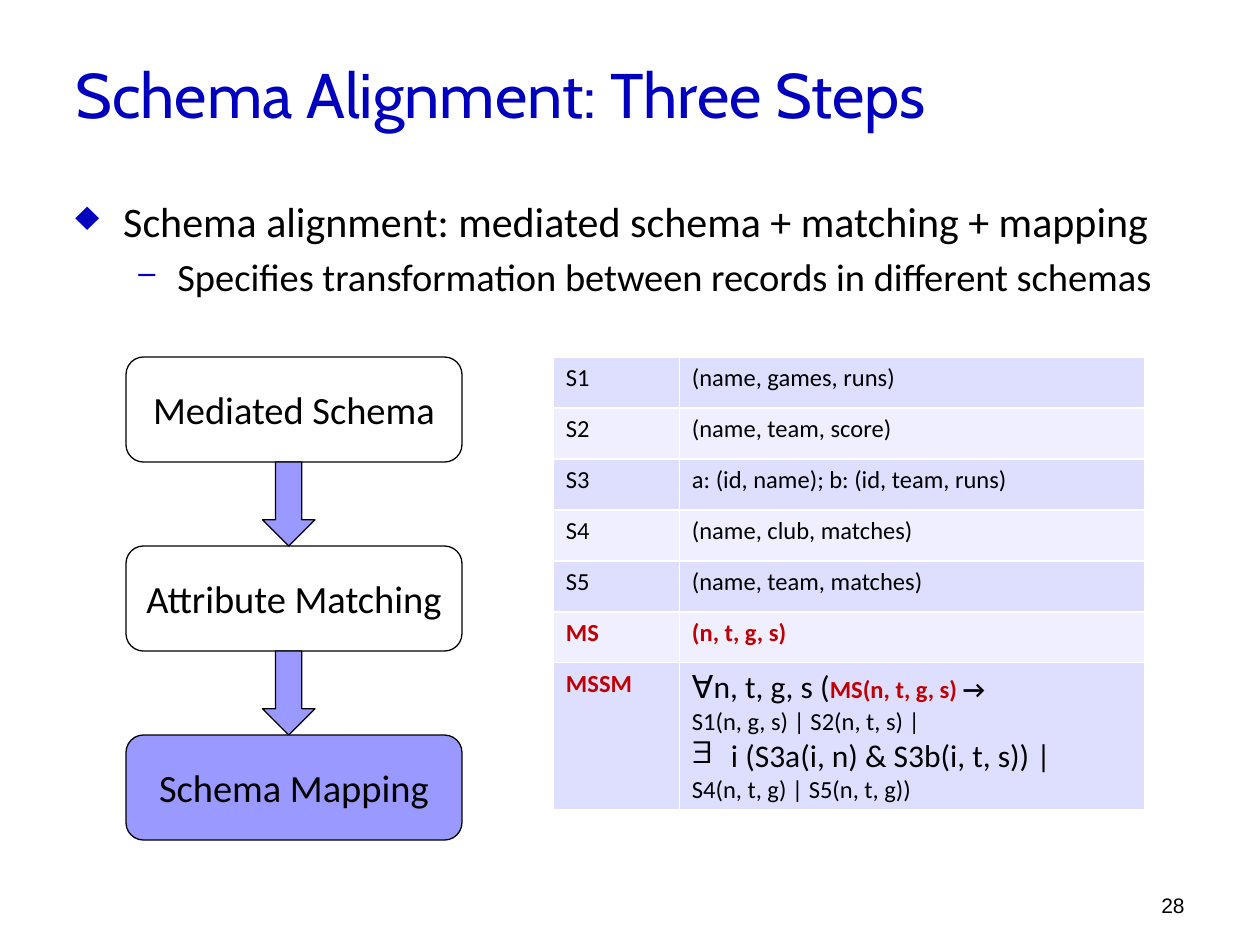
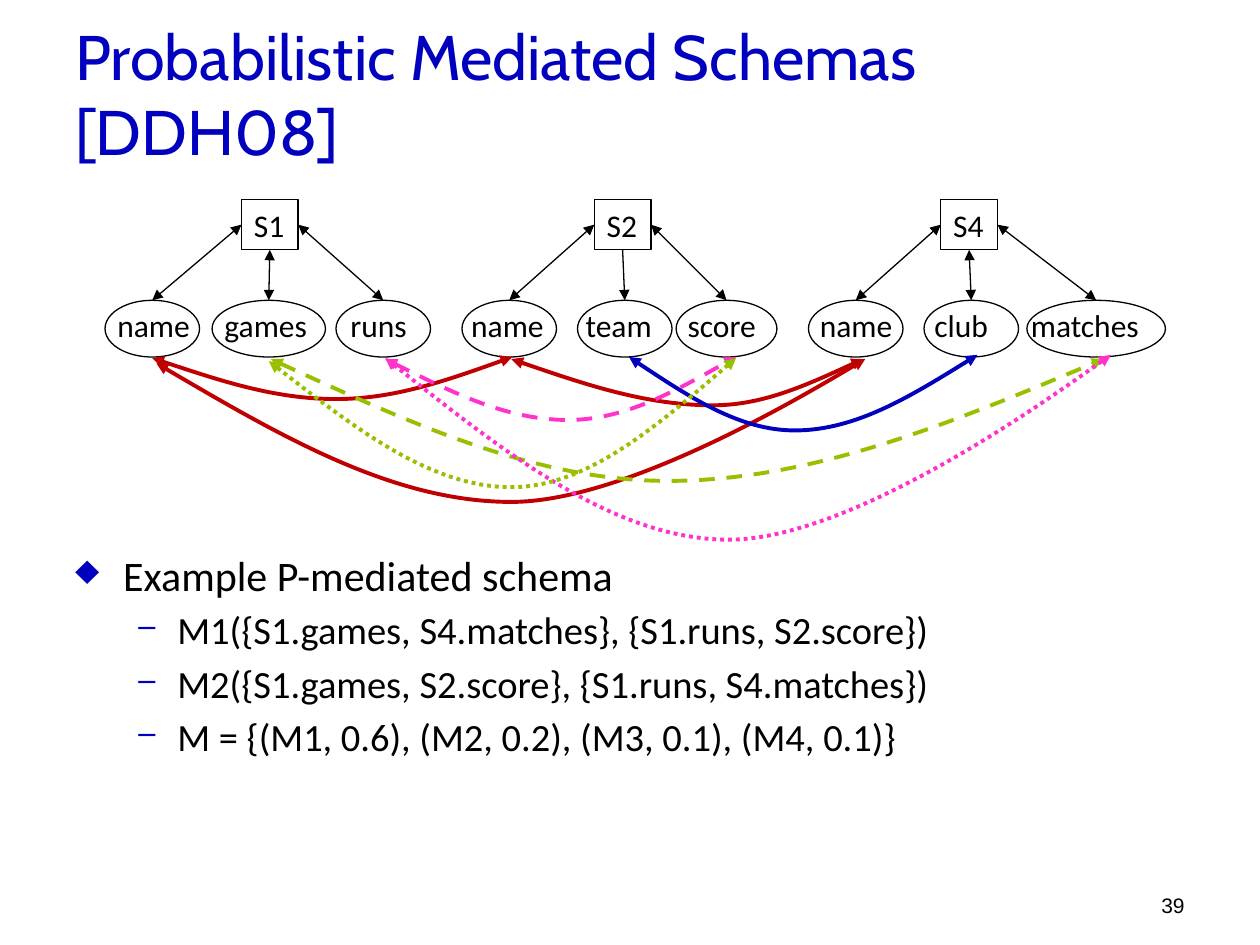
from dataclasses import dataclass

from lxml import etree
from pptx import Presentation
from pptx.dml.color import RGBColor
from pptx.enum.dml import MSO_LINE
from pptx.enum.shapes import MSO_CONNECTOR, MSO_SHAPE
from pptx.enum.text import MSO_ANCHOR, PP_ALIGN
from pptx.oxml.ns import qn
from pptx.util import Emu, Inches, Pt

DASH, DOT = MSO_LINE.DASH, MSO_LINE.ROUND_DOT
STRAIGHT = MSO_CONNECTOR.STRAIGHT
RECTANGLE, ROUNDED = MSO_SHAPE.RECTANGLE, MSO_SHAPE.ROUNDED_RECTANGLE
OVAL, DOWN_ARROW = MSO_SHAPE.OVAL, MSO_SHAPE.DOWN_ARROW
TOP, MIDDLE, BOTTOM = MSO_ANCHOR.TOP, MSO_ANCHOR.MIDDLE, MSO_ANCHOR.BOTTOM
LEFT, CENTER, RIGHT = PP_ALIGN.LEFT, PP_ALIGN.CENTER, PP_ALIGN.RIGHT

# Grid: 120 columns by 90 rows of square cells
WIDTH, HEIGHT = Inches(10), Inches(7.5)
CELL = WIDTH // 120


@dataclass(frozen=True)
class Theme:
    title_font: str = "Cabin"
    body_font: str = "Calibri"
    number_font: str = "Arial"
    blue: str = "0000BE"
    black: str = "000000"
    white: str = "FFFFFF"
    lilac: str = "9999FF"
    red: str = "C00000"
    green: str = "99C000"
    pink: str = "FF33CC"
    bands: tuple = ("DEDEFF", "EFEFFF")
    title: float = 36
    bullet: float = 24
    detail: float = 22
    label: float = 18
    cell: float = 14
    number: float = 12
    thin: float = 0.75
    thick: float = 2.25


THEME = Theme()


@dataclass(frozen=True)
class Area:
    left: float
    top: float
    width: float
    height: float

    def emu(self) -> list:
        return [grid(n) for n in (self.left, self.top, self.width, self.height)]


@dataclass(frozen=True)
class Span:
    text: str
    size: float
    colour: str = THEME.black
    bold: bool = False
    font: str = THEME.body_font


@dataclass(frozen=True)
class Bullet:
    char: str
    margin: float
    hang: float
    colour: str = THEME.black
    percent: int = 100


@dataclass(frozen=True)
class Line:
    spans: tuple
    bullet: Bullet | None = None


@dataclass(frozen=True)
class Link:
    """A sagging curve; a taut one runs straight into its end."""
    start: tuple
    low: tuple
    end: tuple
    colour: str
    dash: object = None
    taut: bool = False


@dataclass(frozen=True)
class Source:
    name: str
    left: float
    attributes: tuple  # (text, text left, oval left, oval width)


DIAMOND = Bullet("♦", 0.38, 0.38, THEME.blue)
EN_DASH = Bullet("–", 0.81, 0.31, THEME.blue, 80)
EXISTS = Bullet("∃", 0.31, 0.31)


def grid(cells: float) -> Emu:
    return Emu(round(cells * CELL))


def colour_of(code: str) -> RGBColor:
    return RGBColor.from_string(code)


def add_xml(parent, tag: str, **attributes):
    return etree.SubElement(parent, qn(tag), attributes)


# Text
def set_bullet(para, bullet: Bullet) -> None:
    props = para._p.get_or_add_pPr()
    props.set("marL", str(Inches(bullet.margin)))
    props.set("indent", str(-Inches(bullet.hang)))
    add_xml(add_xml(props, "a:buClr"), "a:srgbClr", val=bullet.colour)
    add_xml(props, "a:buSzPct", val=str(bullet.percent * 1000))
    add_xml(props, "a:buChar", char=bullet.char)


def write(frame, lines: list, align=LEFT, gap: float = 0) -> None:
    for index, line in enumerate(lines):
        para = frame.add_paragraph() if index else frame.paragraphs[0]
        if line.bullet:
            set_bullet(para, line.bullet)
        para.alignment = align
        para.space_before = Pt(gap if index else 0)
        for span in line.spans:
            run = para.add_run()
            run.text = span.text
            run.font.name, run.font.size = span.font, Pt(span.size)
            run.font.bold = span.bold
            run.font.color.rgb = colour_of(span.colour)


def add_text(page, area: Area, lines: list, anchor=TOP, align=LEFT, gap: float = 0):
    box = page.shapes.add_textbox(*area.emu())
    box.text_frame.word_wrap = True
    box.text_frame.vertical_anchor = anchor
    write(box.text_frame, lines, align, gap)
    return box


# Shapes and lines
def style_line(line, colour: str, width: float, dash=None, arrows: tuple = ()) -> None:
    line.color.rgb, line.width = colour_of(colour), Pt(width)
    if dash:
        line.dash_style = dash
    for end in arrows:
        add_xml(line._get_or_add_ln(), end, type="triangle")


def add_shape(page, kind, area: Area, fill: str | None = None):
    shape = page.shapes.add_shape(kind, *area.emu())
    shape.shadow.inherit = False
    if fill:
        shape.fill.solid()
        shape.fill.fore_color.rgb = colour_of(fill)
    else:
        shape.fill.background()
    style_line(shape.line, THEME.black, THEME.thin)
    return shape


def add_branch(page, source, side: int, oval, both_ways: bool) -> None:
    branch = page.shapes.add_connector(STRAIGHT, 0, 0, 0, 0)
    branch.begin_connect(source, side)
    branch.end_connect(oval, 0)
    arrows = ("a:headEnd", "a:tailEnd") if both_ways else ("a:tailEnd",)
    style_line(branch.line, THEME.black, THEME.thin, arrows=arrows)
    add_xml(branch._element.spPr, "a:effectLst")


def add_link(page, link: Link) -> None:
    (x0, y0), (x1, y1), (x2, y2) = link.start, link.low, link.end
    points = [
        (x0 + (x1 - x0) / 3, (y0 + y1) / 2), (x0 + (x1 - x0) * 2 / 3, y1), link.low,
        (x1 + (x2 - x1) / 3, y1),
        link.end if link.taut else (x1 + (x2 - x1) * 2 / 3, (y1 + y2) / 2), link.end,
    ]
    builder = page.shapes.build_freeform(grid(x0), grid(y0))
    builder.add_line_segments([(grid(x), grid(y)) for x, y in points], close=False)
    curve = builder.convert_to_shape()
    # Each three straight segments become one Bézier segment
    segments = list(curve._element.iter(qn("a:lnTo")))
    outline = segments[0].getparent()
    for first in (0, 3):
        bezier = add_xml(outline, "a:cubicBezTo")
        for segment in segments[first:first + 3]:
            bezier.append(segment[0])
            outline.remove(segment)
    curve.shadow.inherit = False
    curve.fill.background()
    style_line(curve.line, link.colour, THEME.thick, link.dash,
               ("a:headEnd", "a:tailEnd"))


# Tables
def add_schema_table(page, top: float, row_height: float, rows: list) -> None:
    widths = (12, 44.3)
    area = Area(52.7, top, sum(widths), row_height * len(rows))
    table = page.shapes.add_table(len(rows), len(widths), *area.emu()).table
    table.first_row = table.horz_banding = False
    for column, width in zip(table.columns, widths):
        column.width = grid(width)
    for r, row in enumerate(rows):
        for c, lines in enumerate(row):
            cell = table.cell(r, c)
            for side in ("a:lnL", "a:lnR", "a:lnT", "a:lnB"):
                edge = add_xml(cell._tc.get_or_add_tcPr(), side, w=str(Pt(1)))
                add_xml(add_xml(edge, "a:solidFill"), "a:srgbClr", val=THEME.white)
            cell.fill.solid()
            cell.fill.fore_color.rgb = colour_of(THEME.bands[r % 2])
            write(cell.text_frame, lines)


def cell_line(text: str, colour: str = THEME.black, bold: bool = False) -> Line:
    return Line((Span(text, THEME.cell, colour, bold),))


# Parts shared by the slides
def add_page(deck, title: str, number: int, title_width: float):
    page = deck.slides.add_slide(deck.slide_layouts[6])
    heading = Span(title, THEME.title, THEME.blue, font=THEME.title_font)
    add_text(page, Area(6, 3.7, title_width, 10.3), [Line((heading,))], MIDDLE)
    folio = Span(str(number), THEME.number, font=THEME.number_font)
    add_text(page, Area(86, 82, 28, 6), [Line((folio,))], BOTTOM, RIGHT)
    return page


def add_body(page, top: float, point: str, details: list) -> None:
    lines = [Line((Span(point, THEME.bullet),), DIAMOND)]
    lines += [Line((Span(text, THEME.detail),), EN_DASH) for text in details]
    add_text(page, Area(6, top, 114, 77 - top), lines, gap=4)


# Slide: the three steps
def build_steps(deck) -> None:
    page = add_page(deck, "Schema Alignment: Three Steps", 28, 114)
    add_body(page, 18, "Schema alignment: mediated schema + matching + mapping",
             ["Specifies transformation between records in different schemas"])

    steps = ["Mediated Schema", "Attribute Matching", "Schema Mapping"]
    first_top, step_height, pitch = 34, 10, 18
    for index, name in enumerate(steps):
        top = first_top + index * pitch
        last = index == len(steps) - 1
        box = add_shape(page, ROUNDED, Area(12, top, 32, step_height),
                        THEME.lilac if last else None)
        box.text_frame.word_wrap = False
        box.text_frame.vertical_anchor = MIDDLE
        write(box.text_frame, [Line((Span(name, THEME.detail),))], CENTER)
        if not last:
            arrow = Area(25, top + step_height, 5, pitch - step_height)
            add_shape(page, DOWN_ARROW, arrow, THEME.lilac)

    schemas = [
        ("S1", "(name, games, runs)"), ("S2", "(name, team, score)"),
        ("S3", "a: (id, name); b: (id, team, runs)"),
        ("S4", "(name, club, matches)"), ("S5", "(name, team, matches)"),
    ]
    rows = [[[cell_line(text)] for text in schema] for schema in schemas]
    rows.append([[cell_line(text, THEME.red, True)] for text in ("MS", "(n, t, g, s)")])
    add_schema_table(page, 34, 4.86, rows)

    mapping = [
        Line((Span("∀n, t, g, s (", THEME.label),
              Span("MS(n, t, g, s) ", THEME.cell, THEME.red, True),
              Span("→", THEME.cell, bold=True))),
        cell_line("S1(n, g, s) | S2(n, t, s) |"),
        Line((Span("i (S3a(i, n) & S3b(i, t, s)) |", THEME.label),), EXISTS),
        cell_line("S4(n, t, g) | S5(n, t, g))"),
    ]
    add_schema_table(page, 63.1, 14, [[[cell_line("MSSM", THEME.red, True)], mapping]])


# Slide: sources, their attributes and the matches between them
SOURCES = [
    Source("S1", 23, (("name", 11.2, 10, 9), ("games", 21.4, 20.2, 10.8),
                      ("runs", 33.4, 32, 9))),
    Source("S2", 56.6, (("name", 44.9, 44, 9), ("team", 55.8, 55, 9),
                        ("score", 65.5, 64.4, 9.6))),
    Source("S4", 89.6, (("name", 78.1, 77, 9), ("club", 89, 88, 9),
                        ("matches", 98.2, 97.8, 13.2))),
]
LINKS = [
    Link((14.5, 34.1), (32, 38), (48.8, 34), THEME.red),
    Link((48.7, 34.2), (67.9, 38.6), (82.2, 34.2), THEME.red),
    Link((14.9, 34.6), (48.7, 47.8), (82.4, 34.2), THEME.red, taut=True),
    Link((25.8, 34.2), (63.6, 45.8), (105.1, 34.2), THEME.green, DASH),
    Link((59.9, 34), (75.7, 41), (93.1, 33.8), THEME.blue),
    Link((36.7, 34.2), (54.1, 40), (70.1, 34), THEME.pink, DASH),
    Link((36.7, 34.1), (69.4, 51.4), (105.8, 33.8), THEME.pink, DOT, taut=True),
    Link((25.6, 34.4), (48.7, 46.4), (70.1, 34.1), THEME.green, DOT),
]


def build_matches(deck) -> None:
    page = add_page(deck, "Probabilistic Mediated Schemas [DDH08]", 39, 108)
    add_body(page, 51.7, "Example P-mediated schema", [
        "M1({S1.games, S4.matches}, {S1.runs, S2.score})",
        "M2({S1.games, S2.score}, {S1.runs, S4.matches})",
        "M = {(M1, 0.6), (M2, 0.2), (M3, 0.1), (M4, 0.1)}",
    ])

    # One row of attribute names on tab stops
    attributes = [item for source in SOURCES for item in source.attributes]
    names = Span("\t".join(item[0] for item in attributes), THEME.label)
    row = add_text(page, Area(10, 28.6, 101.3, 4.8), [Line((names,))])
    tabs = add_xml(row.text_frame.paragraphs[0]._p.get_or_add_pPr(), "a:tabLst")
    for _, text_left, _, _ in attributes[1:]:
        stop = grid(text_left - attributes[0][1])
        add_xml(tabs, "a:tab", pos=str(stop), algn="l")

    for source in SOURCES:
        box = add_shape(page, RECTANGLE, Area(source.left, 19, 5.4, 4.8))
        box.text_frame.word_wrap = False
        write(box.text_frame, [Line((Span(source.name, THEME.label),))])
        for side, (name, _, left, width) in enumerate(source.attributes, start=1):
            oval = add_shape(page, OVAL, Area(left, 28.6, width, 5.4))
            add_branch(page, box, side, oval, both_ways=name != "team")
    for link in LINKS:
        add_link(page, link)


def main() -> None:
    deck = Presentation()
    deck.slide_width, deck.slide_height = WIDTH, HEIGHT
    build_steps(deck)
    build_matches(deck)
    deck.save("out.pptx")


if __name__ == "__main__":
    main()
